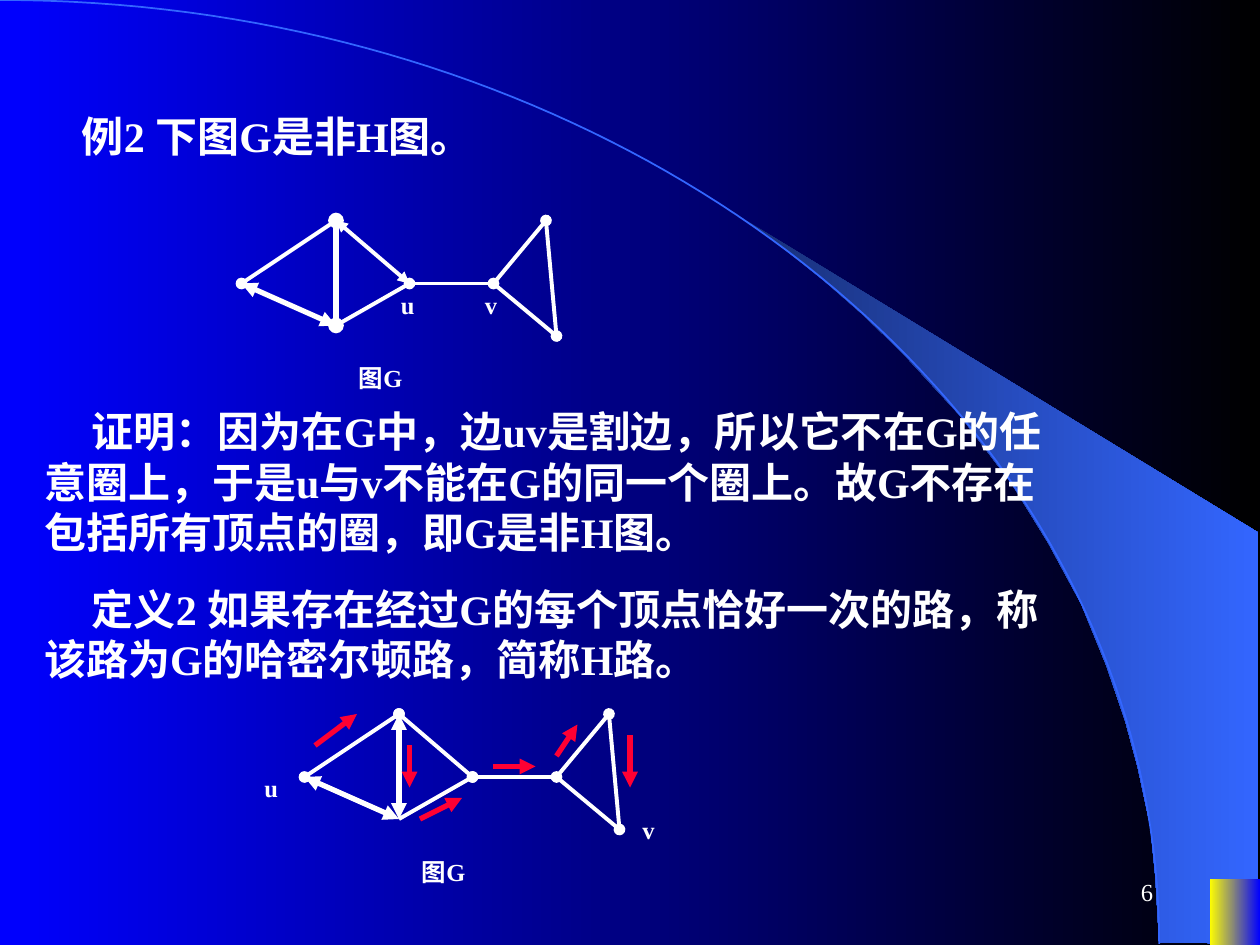
from lxml import etree
from pptx import Presentation
from pptx import util as u
from pptx.dml.color import RGBColor
from pptx.enum import shapes, text
from pptx.oxml.ns import qn

WHITE = RGBColor(0xFF, 0xFF, 0xFF)
BLACK = RGBColor(0, 0, 0)
BLUE = RGBColor(0, 0, 0xFF)
SKY = RGBColor(0x33, 0x66, 0xFF)
NAVY = RGBColor(0x18, 0x2F, 0x76)
YELLOW = RGBColor(0xFF, 0xFF, 0)
RED = RGBColor(0xFF, 0, 0x33)
FONT = "Times New Roman"
CELL = u.Inches(1) / 12  # the graphs sit on a grid of 1/12 inch

# Graph G: vertices in grid cells, edges as (from, to, width, line end)
VERTICES = {"top": (32, 21), "left": (23, 27), "bottom": (32, 31), "u": (39, 27),
            "v": (47, 27), "apex": (52, 21), "foot": (53, 32)}
EDGES = [("top", "left", 2.25, "oval"), ("left", "bottom", 3, "triangle"),
         ("top", "bottom", 3, "oval"), ("top", "u", 2.25, "triangle"),
         ("bottom", "u", 2.25, None), ("u", "v", 2.25, "oval"),
         ("apex", "v", 2.25, None), ("v", "foot", 2.25, None),
         ("apex", "foot", 2.25, "oval")]
PATH_ENDS = {("top", "bottom"): "triangle", ("top", "u"): "oval"}
PATH_ARROWS = [((30, 71), (34, 68)), ((39, 71), (39, 75)), ((40, 78), (44, 76)),
               ((47, 73), (51, 73)), ((53, 72), (55, 69)), ((60, 70), (60, 75))]

BAND = [(9.2, 7.48), (9.99, 7.49), (9.99, 4.23), (5.89, 1.73), (6.24, 1.99),
        (6.53, 2.22), (6.85, 2.5), (7.16, 2.8), (7.62, 3.3), (8.03, 3.84),
        (8.32, 4.31), (8.58, 4.79), (8.78, 5.28), (8.93, 5.72), (9.03, 6.09),
        (9.13, 6.56), (9.17, 6.96)]


def grid(n):
    return u.Emu(round(n * CELL))


def set_gradient(fill, start, end):
    fill.gradient()
    fill.gradient_angle = 0
    for stop, color, position in zip(fill.gradient_stops, (start, end), (0, 1)):
        stop.color.rgb = color
        stop.position = position


def format_runs(p, size, bold=True):
    for r in p.runs:
        r.font.size, r.font.bold, r.font.name = u.Pt(size), bold, FONT
        r.font.color.rgb = WHITE


def add_outline(slide, points, closed):
    # The builder rounds to whole units, so points are given in EMU
    points = [(u.Inches(x), u.Inches(y)) for x, y in points]
    builder = slide.shapes.build_freeform(*points[0])
    builder.add_line_segments(points[1:], close=closed)
    sp = builder.convert_to_shape()
    sp.shadow.inherit = False
    return sp


def add_backdrop(slide):
    set_gradient(slide.background.fill, BLUE, BLACK)
    # Shaded band outside the arc
    band = add_outline(slide, BAND, True)
    set_gradient(band.fill, NAVY, SKY)
    band.line.fill.background()
    # Large arc, sampled from a cubic curve
    steps = 80
    curve = [(3 * t * (1 - t) ** 2 * 5.08 + 3 * t * t * (1 - t) * 9.2 + t ** 3 * 9.2,
              3 * t * t * (1 - t) * 3.35 + t ** 3 * 7.49)
             for t in (i / steps for i in range(steps + 1))]
    arc = add_outline(slide, curve, False)
    arc.fill.background()
    arc.line.color.rgb = SKY
    arc.line.width = u.Pt(1)
    # Corner block
    block = slide.shapes.add_shape(shapes.MSO_SHAPE.RECTANGLE, u.Inches(9.6),
                                   u.Inches(6.98), u.Inches(0.4), u.Inches(0.52))
    block.shadow.inherit = False
    set_gradient(block.fill, YELLOW, BLUE)
    block.line.fill.background()


def fill_placeholder(slide, sp, content, left, top, height):
    slide.shapes._spTree.append(sp._element)  # bring in front of the backdrop
    sp.left, sp.top = u.Inches(left), u.Inches(top)
    sp.width, sp.height = u.Inches(8.25), u.Inches(height)
    tf = sp.text_frame
    tf.text = content
    tf.word_wrap = True
    tf.auto_size = text.MSO_AUTO_SIZE.NONE
    tf.vertical_anchor = text.MSO_ANCHOR.TOP
    p = tf.paragraphs[0]
    p.alignment = text.PP_ALIGN.LEFT
    p.space_before = u.Pt(0)
    pPr = p._p.get_or_add_pPr()
    pPr.set("marL", "0")
    pPr.set("indent", str(u.Inches(0.38)))
    etree.SubElement(pPr, qn("a:buNone"))
    format_runs(p, 24)


def add_label(parent, content, left, top, width, height, bold=True):
    tf = parent.shapes.add_textbox(left, top, width, height).text_frame
    tf.word_wrap = True
    tf.text = content
    format_runs(tf.paragraphs[0], 14, bold)
    return tf


def add_line(group, start, end, color, width, head=None, tail=None):
    line = group.shapes.add_connector(shapes.MSO_CONNECTOR.STRAIGHT,
                                      *map(grid, start + end))
    line.line.color.rgb = color
    line.line.width = u.Pt(width)
    ln = line.line._get_or_add_ln()
    for tag, kind in (("a:headEnd", head), ("a:tailEnd", tail)):
        if kind:
            etree.SubElement(ln, qn(tag)).set("type", kind)
    etree.SubElement(line._element.spPr, qn("a:effectLst"))


def add_graph(slide, dx, dy, labels, ends, arrows=()):
    group = slide.shapes.add_group_shape()
    at = {name: (x + dx, y + dy) for name, (x, y) in VERTICES.items()}
    for a, b, width, end in EDGES:
        end = ends.get((a, b), end)
        add_line(group, at[a], at[b], WHITE, width, end, end)
    for name, (x, y) in labels.items():
        add_label(group, name, grid(x), grid(y), u.Inches(0.6), u.Inches(0.34))
    add_label(group, "图G", grid(33 + dx), grid(34 + dy), u.Inches(0.93), u.Inches(0.34))
    for start, end in arrows:
        add_line(group, start, end, RED, 3, tail="triangle")


def main():
    prs = Presentation()
    prs.slide_width, prs.slide_height = u.Inches(10), u.Inches(7.5)
    slide = prs.slides.add_slide(prs.slide_layouts[3])
    add_backdrop(slide)

    # Title, proof and definition
    title, proof, definition = slide.placeholders
    fill_placeholder(slide, title, "例2 下图G是非H图。", 0.17, 0.83, 0.5)
    fill_placeholder(slide, proof, "证明：因为在G中，边uv是割边，所以它不在G的任意圈上，"
                     "于是u与v不能在G的同一个圈上。故G不存在包括所有顶点的圈，"
                     "即G是非H图。", 0.25, 3.17, 1.3)
    fill_placeholder(slide, definition, "定义2 如果存在经过G的每个顶点恰好一次的路，"
                     "称该路为G的哈密尔顿路，简称H路。", 0.25, 4.58, 0.9)

    # Graph G, then the same graph with its Hamiltonian path
    add_graph(slide, 0, 0, {"u": (37, 27), "v": (45, 27)}, {})
    add_graph(slide, 6, 47, {"u": (24, 73), "v": (60, 77)}, PATH_ENDS, PATH_ARROWS)

    # Page number
    tf = add_label(slide, "6", u.Inches(7.17), u.Inches(6.83), u.Inches(2.08),
                   u.Inches(0.5), bold=False)
    tf.vertical_anchor = text.MSO_ANCHOR.MIDDLE
    tf.paragraphs[0].alignment = text.PP_ALIGN.RIGHT

    prs.save("out.pptx")


if __name__ == "__main__":
    main()
